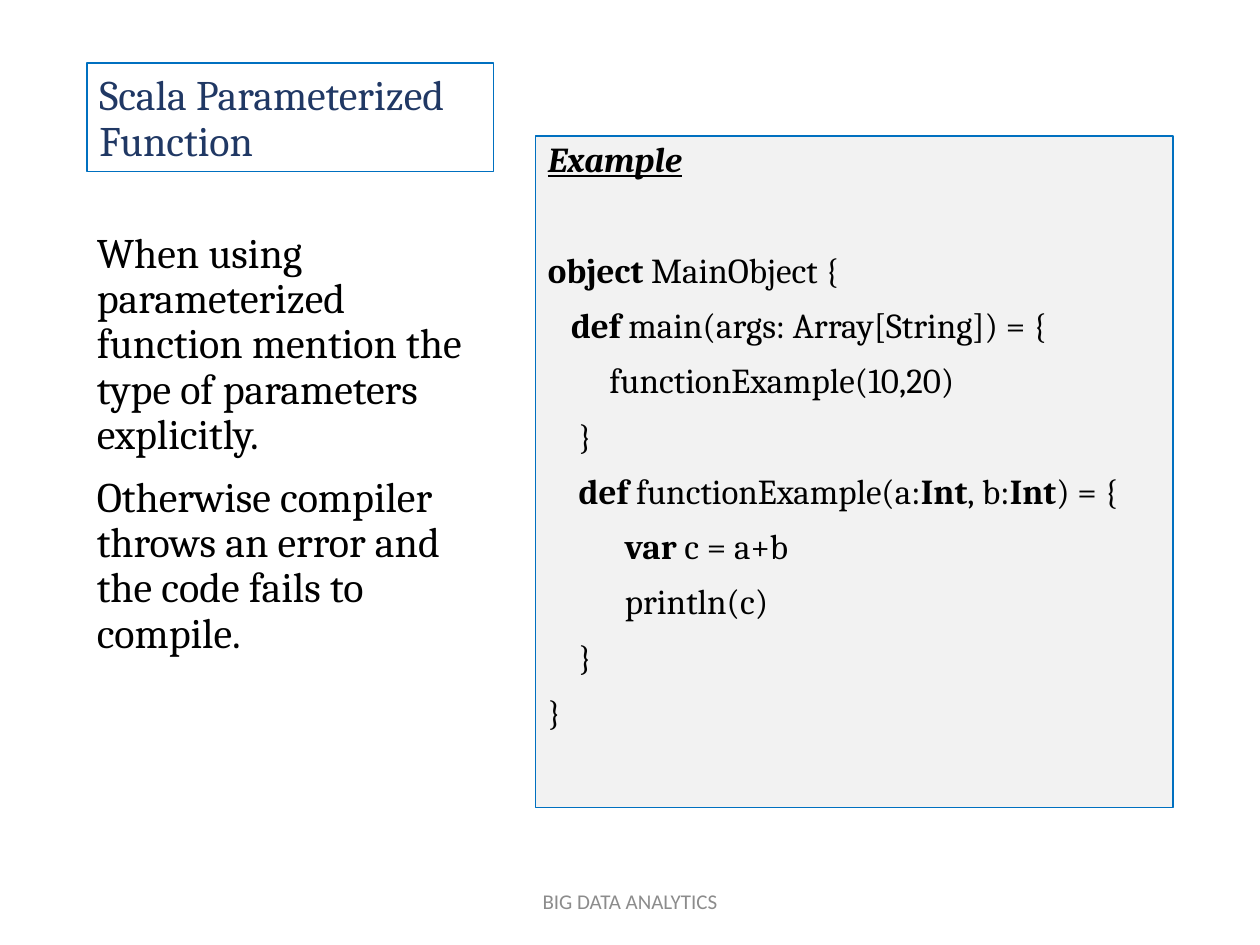
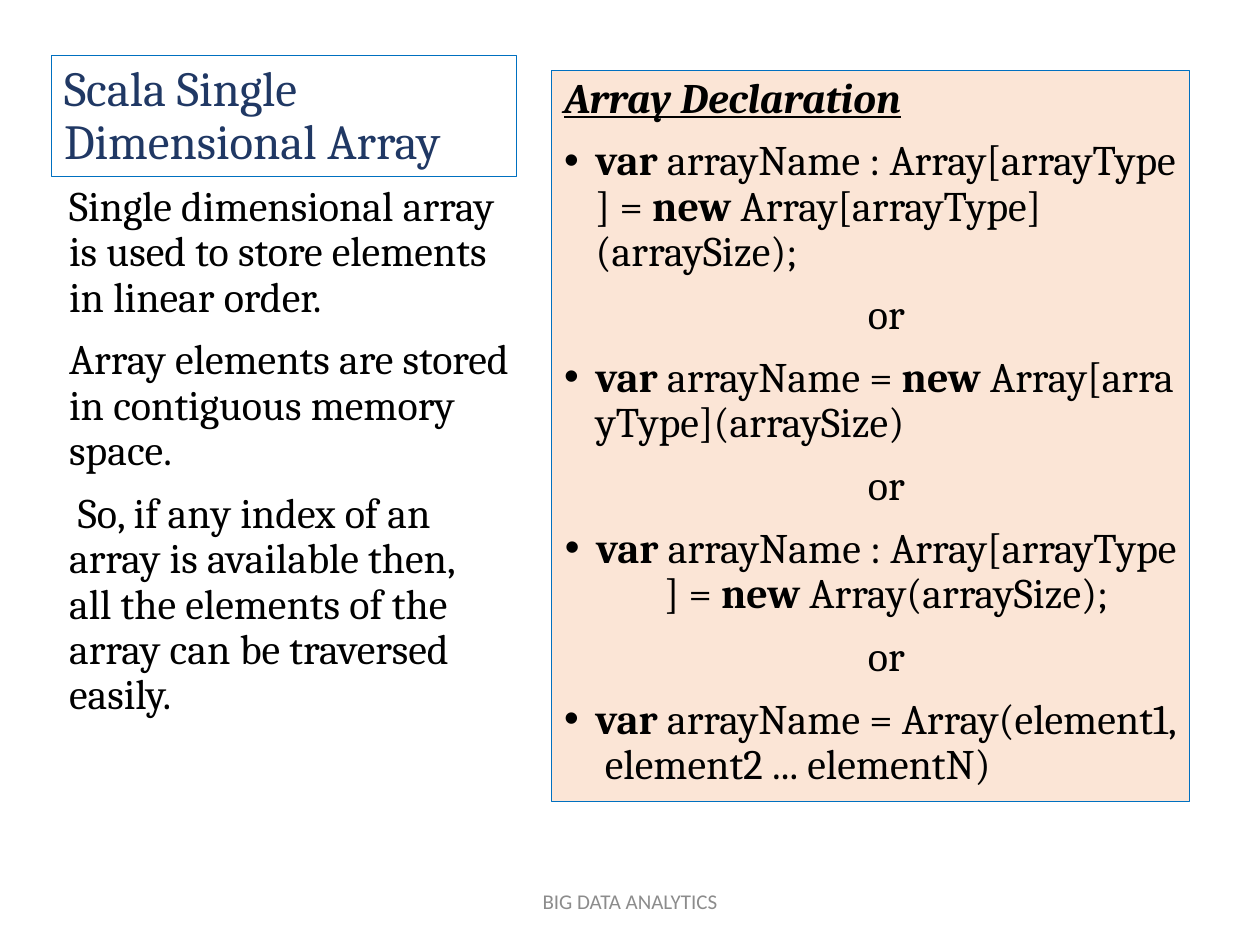
"""Build two slides on Scala functions and arrays."""
import lxml.etree
import pptx
import pptx.dml.color
import pptx.enum.shapes
import pptx.enum.text
import pptx.oxml.ns
import pptx.util

Inches = pptx.util.Inches
Pt = pptx.util.Pt
Align = pptx.enum.text.PP_ALIGN
Anchor = pptx.enum.text.MSO_ANCHOR

HUES = {
    "line": "0070C0",
    "title": "203864",
    "text": "000000",
    "foot": "8C8C8C",
    "grey": "F2F2F2",
    "peach": "FBE5D6",
}
HANG = 0.25
GAP = 10
SKIP = 41.6


class Deck:
    """Hold the style and the current slide."""

    def __init__(self):
        self.show = pptx.Presentation()
        self.show.slide_width = Inches(10)
        self.show.slide_height = Inches(7.5)
        self.slide = None

    def hue(self, name):
        return pptx.dml.color.RGBColor.from_string(HUES[name])

    def start(self):
        self.slide = self.show.slides.add_slide(self.show.slide_layouts[6])

    def style(self, par, size, hue="text", face="Cambria"):
        par.font.size = Pt(size)
        par.font.name = face
        par.font.color.rgb = self.hue(hue)

    def frame(self, shape, anchor=Anchor.TOP):
        frame = shape.text_frame
        frame.word_wrap = True
        frame.vertical_anchor = anchor
        return frame

    def box(self, spot, fill=None, anchor=Anchor.TOP):
        kind = pptx.enum.shapes.MSO_SHAPE.RECTANGLE
        shape = self.slide.shapes.add_shape(kind, *map(Inches, spot))
        shape.shadow.inherit = False
        if fill:
            shape.fill.solid()
            shape.fill.fore_color.rgb = self.hue(fill)
        else:
            shape.fill.background()
        shape.line.color.rgb = self.hue("line")
        shape.line.width = Pt(0.75)
        return self.frame(shape, anchor)

    def label(self, spot, anchor=Anchor.TOP):
        return self.frame(self.slide.shapes.add_textbox(*map(Inches, spot)), anchor)

    def title(self, spot, text, size):
        par = self.box(spot, anchor=Anchor.BOTTOM).paragraphs[0]
        par.text = text
        par.alignment = Align.LEFT
        par.line_spacing = 0.9
        self.style(par, size, "title")

    def prose(self, spot, texts):
        frame = self.label(spot)
        for text in texts:
            first = text is texts[0]
            par = frame.paragraphs[0] if first else frame.add_paragraph()
            par.text = text
            par.line_spacing = 0.9
            par.space_before = Pt(0 if first else GAP)
            self.style(par, 24)
        return frame

    def panel(self, spot, fill, head, size):
        frame = self.box(spot, fill)
        par = frame.paragraphs[0]
        par.text = head
        par.alignment = Align.LEFT
        par.line_spacing = 0.9
        self.style(par, size)
        par.font.bold = par.font.italic = par.font.underline = True
        return frame

    def code(self, frame, text, size, gap=GAP, align=Align.LEFT):
        """Add a line of code, with bold words between stars."""
        par = frame.add_paragraph()
        for spot, part in enumerate(text.split("*")):
            if part:
                run = par.add_run()
                run.text = part.replace(" ", chr(160))
                if spot % 2:
                    run.font.bold = True
        par.alignment = align
        par.line_spacing = 0.9
        par.space_before = Pt(gap)
        self.style(par, size)
        return par

    def indent(self, par, left, first=0.0):
        props = par._p.get_or_add_pPr()
        props.set("marL", str(Inches(left)))
        props.set("indent", str(Inches(first)))
        return props

    def bullet(self, par):
        props = self.indent(par, HANG, -HANG)
        tail = props.find(pptx.oxml.ns.qn("a:defRPr"))
        for tag, key, val in (("a:buFont", "typeface", "Arial"), ("a:buChar", "char", "•")):
            mark = lxml.etree.Element(pptx.oxml.ns.qn(tag))
            mark.set(key, val)
            tail.addprevious(mark)

    def foot(self):
        par = self.label((3.31, 6.95, 3.38, 0.4), Anchor.MIDDLE).paragraphs[0]
        par.text = "BIG DATA ANALYTICS"
        par.alignment = Align.CENTER
        self.style(par, 12, "foot", "Calibri")


def params(deck):
    deck.start()
    deck.title((0.69, 0.5, 3.23, 0.86), "Scala Parameterized Function", 24)
    frame = deck.panel((4.25, 1.08, 5.06, 5.33), "grey", "Example", 20)
    lines = (
        "*object* MainObject {",
        "   *def* main(args: Array[String]) = {",
        "        functionExample(10,20)",
        "    }",
        "    *def* functionExample(a:*Int*, b:*Int*) = {",
        "          *var* c = a+b",
        "          println(c)",
        "    }",
        "}",
    )
    for row, line in enumerate(lines):
        deck.code(frame, line, 20, GAP if row else SKIP)
    deck.prose((0.67, 1.79, 3.23, 4.17), (
        "When using parameterized function mention the type of parameters explicitly.",
        "Otherwise compiler throws an error and the code fails to compile.",
    ))
    deck.foot()


def arrays(deck):
    deck.start()
    deck.title((0.41, 0.44, 3.69, 0.96), "Scala Single Dimensional Array", 28)
    frame = deck.panel((4.38, 0.56, 5.06, 5.8), "peach", "Array Declaration", 24)
    forms = (
        ("*var* arrayName : Array[arrayType] = *new* Array[arrayType](arraySize);", Align.LEFT),
        ("*var* arrayName = *new* Array[arrayType](arraySize)", Align.LEFT),
        ("*var* arrayName : Array[arrayType] = *new* Array(arraySize);", Align.CENTER),
        ("*var* arrayName = Array(element1, element2 ... elementN)", Align.LEFT),
    )
    for row, (form, align) in enumerate(forms):
        if row:
            deck.indent(deck.code(frame, "or", 24, align=Align.CENTER), HANG)
        deck.bullet(deck.code(frame, form, 24, align=align))
    prose = deck.prose((0.45, 1.42, 3.7, 4.34), (
        "Single dimensional array is used to store elements in linear order.",
        "Array elements are stored in contiguous memory space.",
        "So, if any index of an array is available then,\vall the elements of the "
        "array can be traversed easily.",
    ))
    deck.indent(prose.paragraphs[-1], 0, 0.07)
    deck.foot()


def main():
    deck = Deck()
    params(deck)
    arrays(deck)
    deck.show.save("out.pptx")


if __name__ == "__main__":
    main()
